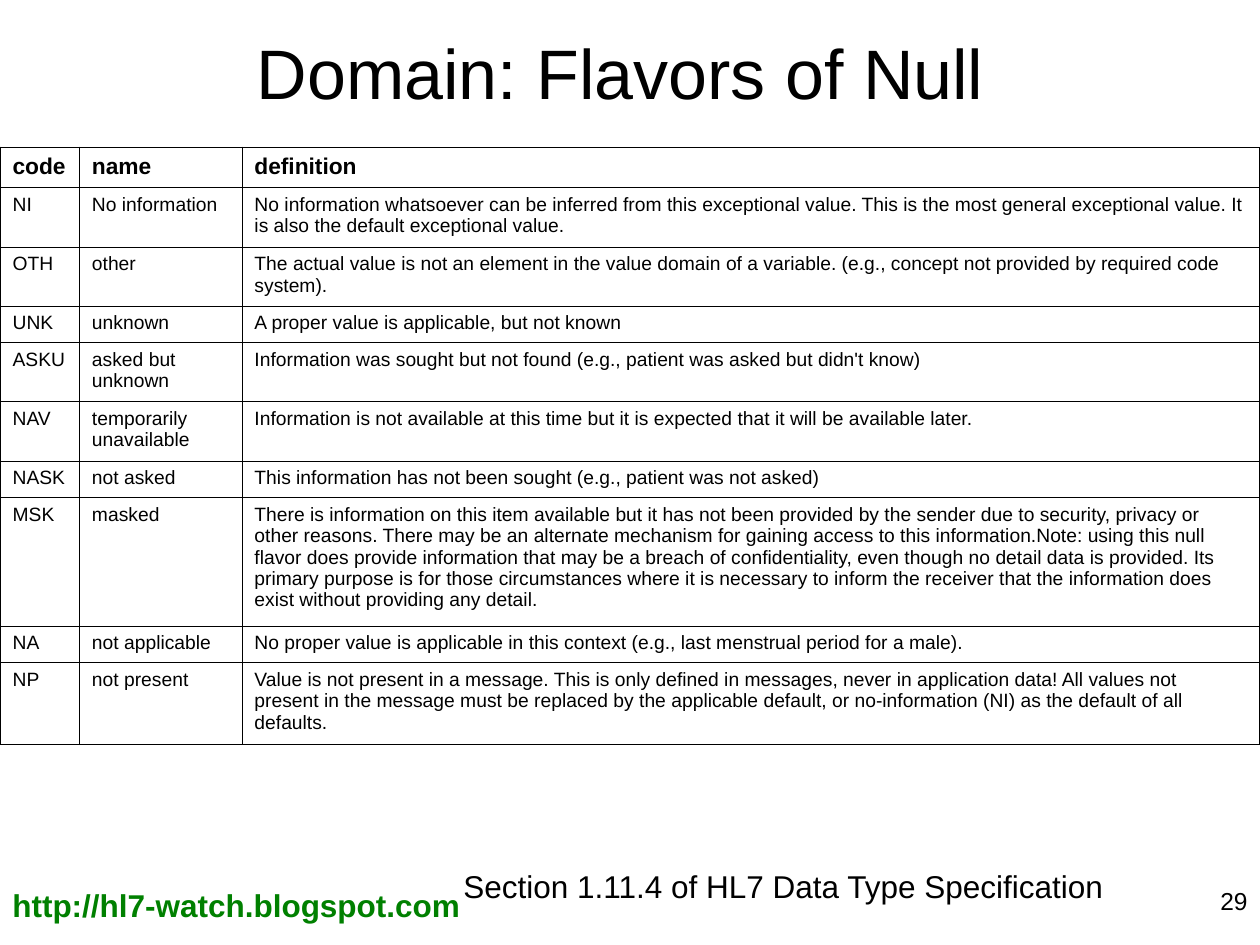
from dataclasses import dataclass

from lxml.etree import SubElement
from pptx import Presentation
from pptx.dml.color import RGBColor
from pptx.enum.text import MSO_ANCHOR, PP_ALIGN
from pptx.oxml.ns import qn
from pptx.util import Inches, Pt


@dataclass(frozen=True)
class Theme:
    """Colours, font and type sizes of the slide."""
    font: str = "Arial"
    ink: str = "000000"
    paper: str = "FFFFFF"
    link: str = "008000"
    title: int = 40
    note: int = 18
    page: int = 14
    head: int = 13
    body: int = 11
    thin: float = 0.45
    thick: float = 1.08


class Deck:
    """Holds the theme and the current slide, and draws each kind of element."""

    def __init__(self, slide, theme):
        """Keep the slide and its theme."""
        self.slide, self.theme = slide, theme

    def style(self, para, size, color, bold=False):
        """Set the font of one paragraph."""
        font = para.font
        font.name, font.size, font.bold = self.theme.font, Pt(size), bold
        font.color.rgb = RGBColor.from_string(color)

    def text(self, words, box, size, color=None, bold=False,
             align=PP_ALIGN.LEFT, anchor=MSO_ANCHOR.TOP, wrap=True):
        """Add one line of text in a box."""
        frame = self.slide.shapes.add_textbox(*map(Inches, box)).text_frame
        frame.word_wrap, frame.vertical_anchor = wrap, anchor
        para = frame.paragraphs[0]
        para.text, para.alignment = words, align
        self.style(para, size, color or self.theme.ink, bold)

    def edge(self, cell, side, width):
        """Draw one border of a cell."""
        line = SubElement(cell._tc.get_or_add_tcPr(), qn(f"a:ln{side}"), w=str(Pt(width)))
        fill = SubElement(line, qn("a:solidFill"))
        SubElement(fill, qn("a:srgbClr"), val=self.theme.ink)

    def table(self, rows, spot, widths, heights):
        """Add a table with a bold head row and a thicker outer frame."""
        theme = self.theme
        size = sum(widths), sum(heights)
        grid = self.slide.shapes.add_table(
            len(rows), len(widths), *map(Inches, (*spot, *size))).table
        grid.first_row = grid.horz_banding = False
        for col, width in zip(grid.columns, widths):
            col.width = Inches(width)
        for row, height in zip(grid.rows, heights):
            row.height = Inches(height)
        for i, row in enumerate(rows):
            for j, words in enumerate(row):
                cell = grid.cell(i, j)
                outer = {"L": j == 0, "R": j == len(widths) - 1,
                         "T": i == 0, "B": i == len(rows) - 1}
                for side, thick in outer.items():
                    self.edge(cell, side, theme.thick if thick else theme.thin)
                cell.fill.solid()
                cell.fill.fore_color.rgb = RGBColor.from_string(theme.paper)
                para = cell.text_frame.paragraphs[0]
                para.text = words
                self.style(para, theme.body if i else theme.head, theme.ink, i == 0)


FLAVORS = [
    ("code", "name", "definition"),
    ("NI", "No information",
     "No information whatsoever can be inferred from this exceptional value. "
     "This is the most general exceptional value. It is also the default exceptional value."),
    ("OTH", "other",
     "The actual value is not an element in the value domain of a variable. "
     "(e.g., concept not provided by required code system)."),
    ("UNK", "unknown", "A proper value is applicable, but not known"),
    ("ASKU", "asked but unknown",
     "Information was sought but not found (e.g., patient was asked but didn't know)"),
    ("NAV", "temporarily unavailable",
     "Information is not available at this time but it is expected that it will be "
     "available later."),
    ("NASK", "not asked",
     "This information has not been sought (e.g., patient was not asked)"),
    ("MSK", "masked",
     "There is information on this item available but it has not been provided by the "
     "sender due to security, privacy or other reasons. There may be an alternate mechanism "
     "for gaining access to this information.Note: using this null flavor does provide "
     "information that may be a breach of confidentiality, even though no detail data is "
     "provided. Its primary purpose is for those circumstances where it is necessary to "
     "inform the receiver that the information does exist without providing any detail."),
    ("NA", "not applicable",
     "No proper value is applicable in this context (e.g., last menstrual period for a male)."),
    ("NP", "not present",
     "Value is not present in a message. This is only defined in messages, never in "
     "application data! All values not present in the message must be replaced by the "
     "applicable default, or no-information (NI) as the default of all defaults."),
]
WIDTHS = [0.63, 1.29, 8.08]
HEIGHTS = [0.32, 0.47, 0.47, 0.29, 0.47, 0.47, 0.29, 1.02, 0.29, 0.65]


def main():
    """Build the slide and save it."""
    show = Presentation()
    show.slide_width, show.slide_height = Inches(10), Inches(7.5)
    theme = Theme()
    deck = Deck(show.slides.add_slide(show.slide_layouts[6]), theme)
    deck.text("Domain: Flavors of Null ", (0.5, 0.3, 9, 0.53), theme.title,
              align=PP_ALIGN.CENTER, anchor=MSO_ANCHOR.MIDDLE)
    deck.table(FLAVORS, (0, 1.17), WIDTHS, HEIGHTS)
    deck.text("Section 1.11.4 of HL7 Data Type Specification",
              (3.58, 6.83, 5.31, 0.4), theme.note, wrap=False)
    deck.text("http://hl7-watch.blogspot.com", (0, 6.98, 6.42, 0.52),
              theme.note, theme.link, bold=True)
    deck.text("29", (7.67, 6.98, 2.33, 0.52), theme.page, align=PP_ALIGN.RIGHT)
    show.save("out.pptx")


if __name__ == "__main__":
    main()
